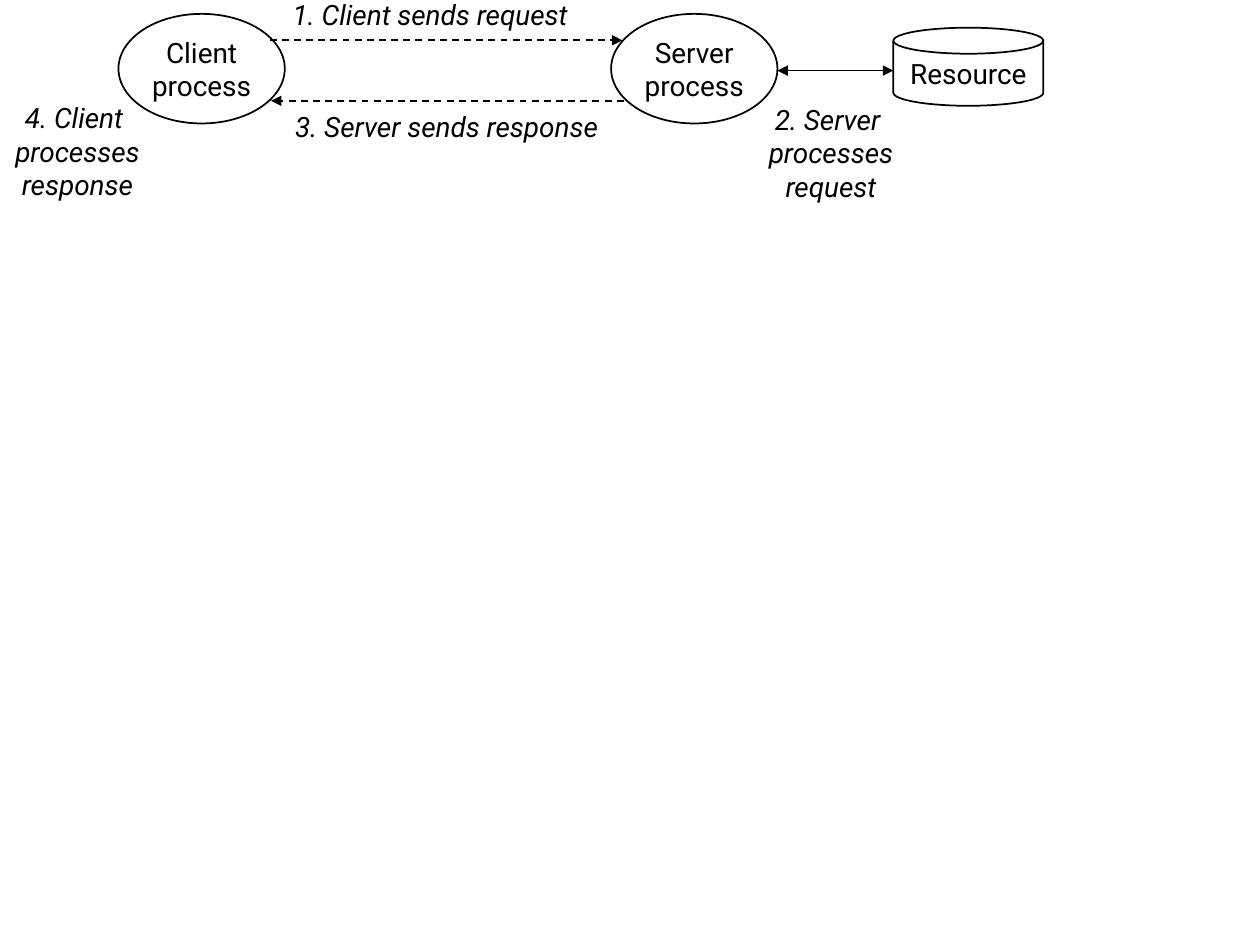
from dataclasses import dataclass
from typing import Optional

from lxml import etree
from pptx import Presentation
from pptx.dml.color import RGBColor
from pptx.enum.dml import MSO_LINE
from pptx.enum.shapes import MSO_CONNECTOR, MSO_SHAPE
from pptx.enum.text import MSO_ANCHOR, MSO_AUTO_SIZE, PP_ALIGN
from pptx.oxml.ns import qn
from pptx.util import Inches, Pt

BLACK = RGBColor(0, 0, 0)
WHITE = RGBColor(255, 255, 255)
OVAL = MSO_SHAPE.OVAL
DISK = MSO_SHAPE.FLOWCHART_MAGNETIC_DISK
STRAIGHT = MSO_CONNECTOR.STRAIGHT
DASH = MSO_LINE.DASH
MIDDLE = MSO_ANCHOR.MIDDLE
CENTER = PP_ALIGN.CENTER
GROW = MSO_AUTO_SIZE.SHAPE_TO_FIT_TEXT
FONT = "Roboto"
WIDE, HIGH = Inches(10), Inches(7.5)


@dataclass(frozen=True)
class Box:
    left: float
    top: float
    width: float
    height: float
    lines: tuple[str, ...]


@dataclass(frozen=True)
class Node(Box):
    kind: MSO_SHAPE
    fill: Optional[RGBColor] = WHITE


@dataclass(frozen=True)
class Arrow:
    start: float
    end: float
    row: float
    dashed: bool = True
    double: bool = False


def across(share: float) -> int:
    return round(WIDE * share / 100)


def down(share: float) -> int:
    return round(HIGH * share / 100)


def place(box: Box) -> tuple[int, int, int, int]:
    return across(box.left), down(box.top), across(box.width), down(box.height)


def write(frame, lines: tuple[str, ...], slant: bool) -> None:
    frame.word_wrap = False
    frame.vertical_anchor = MIDDLE
    for index, line in enumerate(lines):
        para = frame.add_paragraph() if index else frame.paragraphs[0]
        para.alignment = CENTER
        run = para.add_run()
        run.text = line
        run.font.name = FONT
        run.font.size = Pt(16)
        run.font.italic = slant
        run.font.color.rgb = BLACK


def draw_node(slide, node: Node) -> None:
    shape = slide.shapes.add_shape(node.kind, *place(node))
    shape.shadow.inherit = False
    if node.fill is None:
        shape.fill.background()
    else:
        shape.fill.solid()
        shape.fill.fore_color.rgb = node.fill
    shape.line.color.rgb = BLACK
    shape.line.width = Pt(1)
    write(shape.text_frame, node.lines, False)


def draw_label(slide, label: Box) -> None:
    frame = slide.shapes.add_textbox(*place(label)).text_frame
    write(frame, label.lines, True)
    frame.auto_size = GROW


def draw_arrow(slide, arrow: Arrow) -> None:
    row = down(arrow.row)
    link = slide.shapes.add_connector(
        STRAIGHT, across(arrow.start), row, across(arrow.end), row)
    link.line.color.rgb = BLACK
    link.line.width = Pt(1)
    if arrow.dashed:
        link.line.dash_style = DASH
    line = link.line._get_or_add_ln()
    for tag in ("a:headEnd", "a:tailEnd") if arrow.double else ("a:tailEnd",):
        etree.SubElement(line, qn(tag), type="triangle")
    etree.SubElement(link._element.spPr, qn("a:effectLst"))


PARTS = (
    Node(9.4, 1.47, 13.2, 11.6, ("Client", "process"), OVAL),
    Arrow(21.4, 49.4, 4.27),
    Node(48.5, 1.47, 13.2, 11.6, ("Server", "process"), OVAL),
    Box(21.8, -0.93, 24.7, 4.93, ("1. Client sends request",)),
    Box(59.9, 10.13, 12.1, 12, ("2. Server ", "processes", "request")),
    Arrow(49.5, 21.5, 10.67),
    Box(21.8, 10.93, 27.3, 4.93, ("3. Server sends response",)),
    Box(0.1, 10, 12.1, 12, ("4. Client ", "processes", "response")),
    Arrow(61.7, 70.9, 7.47, dashed=False, double=True),
    Node(70.9, 2.93, 11.9, 8.27, ("Resource",), DISK, None),
)
DRAW = {Node: draw_node, Box: draw_label, Arrow: draw_arrow}


def main() -> None:
    deck = Presentation()
    deck.slide_width, deck.slide_height = WIDE, HIGH
    slide = deck.slides.add_slide(deck.slide_layouts[6])
    for part in PARTS:
        DRAW[type(part)](slide, part)
    deck.save("out.pptx")


if __name__ == "__main__":
    main()
